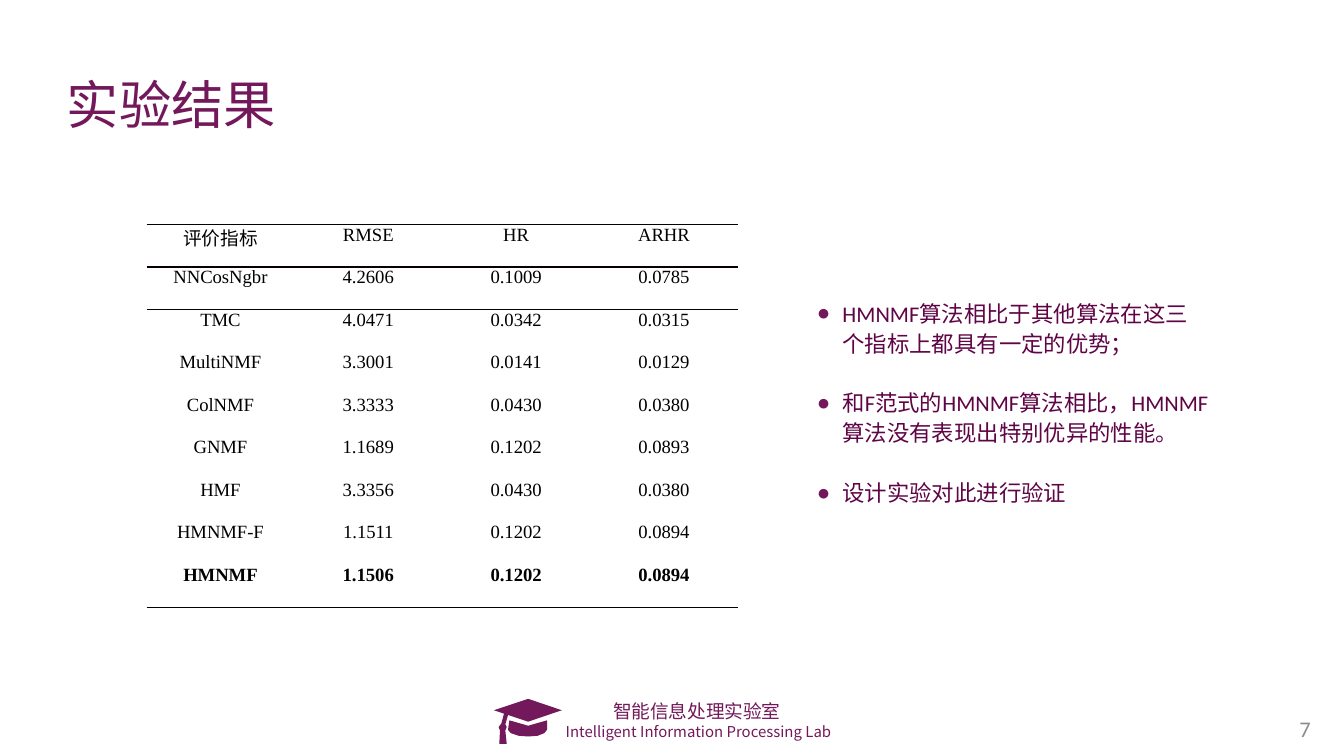
from lxml import etree
from pptx import Presentation
from pptx.dml.color import RGBColor
from pptx.enum.text import MSO_ANCHOR, PP_ALIGN
from pptx.oxml.ns import qn
from pptx.util import Inches, Pt

LEFT, CENTER, RIGHT = PP_ALIGN.LEFT, PP_ALIGN.CENTER, PP_ALIGN.RIGHT
TOP, MIDDLE = MSO_ANCHOR.TOP, MSO_ANCHOR.MIDDLE
PLUM = RGBColor(0x73, 0x18, 0x5A)
DARK_PLUM = RGBColor(0x5F, 0x04, 0x46)
GREY = RGBColor(0x8C, 0x8C, 0x8C)
BLACK = RGBColor(0, 0, 0)
RULE = RGBColor(0x08, 0, 0)
CJK_FONT = "Noto Sans CJK SC"
PLAIN_TABLE_STYLE = "{2D5ABB26-0587-4C30-8999-92F81FD0307C}"

RESULTS = [
    ("评价指标", "RMSE", "HR", "ARHR"),
    ("NNCosNgbr", "4.2606", "0.1009", "0.0785"),
    ("TMC", "4.0471", "0.0342", "0.0315"),
    ("MultiNMF", "3.3001", "0.0141", "0.0129"),
    ("ColNMF", "3.3333", "0.0430", "0.0380"),
    ("GNMF", "1.1689", "0.1202", "0.0893"),
    ("HMF", "3.3356", "0.0430", "0.0380"),
    ("HMNMF-F", "1.1511", "0.1202", "0.0894"),
    ("HMNMF", "1.1506", "0.1202", "0.0894"),
]
FINDINGS = [
    "HMNMF算法相比于其他算法在这三个指标上都具有一定的优势；",
    "和F范式的HMNMF算法相比，HMNMF算法没有表现出特别优异的性能。",
    "设计实验对此进行验证",
]
CAP_BOARD = [
    (418, 528.5), (393, 537), (378, 532), (376, 539), (377, 541),
    (376, 543.5), (377, 553.5), (371.5, 553.5), (372, 543.5),
    (371, 541), (373, 538.5), (375, 531), (367.5, 528.5), (393, 520),
]
CAP_BASE = [
    (407, 543), (405, 545.5), (400, 547.5), (393, 548), (386, 547.5),
    (380, 545.5), (378, 543), (379, 536), (393, 540), (407, 536),
]


def write_text(para, text, size, color, font="Calibri", bold=False, align=LEFT):
    """Fill a paragraph with one formatted run."""
    para.alignment = align
    span = para.add_run()
    span.text = text
    span.font.size = Pt(size)
    span.font.bold = bold
    span.font.name = font
    span.font.color.rgb = color
    east_asian = etree.SubElement(span._r.get_or_add_rPr(), qn("a:ea"))
    east_asian.set("typeface", CJK_FONT)


def add_text_frame(page, left, top, width, height, wrap=True, anchor=TOP):
    """Add a text box and return its frame."""
    box = page.shapes.add_textbox(
        Inches(left), Inches(top), Inches(width), Inches(height))
    box.text_frame.word_wrap = wrap
    box.text_frame.vertical_anchor = anchor
    return box.text_frame


def add_bullet(para):
    """Give a paragraph a hanging round bullet."""
    properties = para._p.get_or_add_pPr()
    properties.set("marL", str(Inches(0.19)))
    properties.set("indent", str(-Inches(0.19)))
    bullet_color = etree.SubElement(properties, qn("a:buClr"))
    etree.SubElement(bullet_color, qn("a:srgbClr"), val=str(PLUM))
    etree.SubElement(properties, qn("a:buFont"), typeface="Arial")
    etree.SubElement(properties, qn("a:buChar"), char="●")


def add_findings(page):
    """Add the bulleted findings beside the table."""
    frame = add_text_frame(page, 5.98, 2.16, 3.12, 1.67)
    for index, finding in enumerate(FINDINGS):
        para = frame.add_paragraph() if index else frame.paragraphs[0]
        para.line_spacing = Pt(16)
        para.space_before = Pt(16 if index else 0)
        add_bullet(para)
        write_text(para, finding, 12, DARK_PLUM)


def add_border(cell, tag):
    """Draw one horizontal rule on a cell edge."""
    properties = cell._tc.get_or_add_tcPr()
    line = etree.Element(qn(tag), w=str(Pt(1)))
    fill = etree.SubElement(line, qn("a:solidFill"))
    etree.SubElement(fill, qn("a:srgbClr"), val=str(RULE))
    properties.insert(0, line)


def add_results(page):
    """Add the three-rule table of results."""
    last = len(RESULTS) - 1
    table = page.shapes.add_table(
        len(RESULTS), len(RESULTS[0]),
        Inches(1.09), Inches(1.67), Inches(4.4), Inches(2.85)).table
    table.first_row = table.horz_banding = False
    table._tbl.tblPr.find(qn("a:tableStyleId")).text = PLAIN_TABLE_STYLE
    for row, values in enumerate(RESULTS):
        for column, value in enumerate(values):
            cell = table.cell(row, column)
            cell.margin_left = cell.margin_right = Inches(0.07)
            cell.margin_top = cell.margin_bottom = 0
            cell.fill.background()
            write_text(cell.text_frame.paragraphs[0], value, 10, BLACK,
                       font="Times New Roman", bold=row == last, align=CENTER)
            if row in (0, last):
                add_border(cell, "a:lnB")
            if row in (0, 1):
                add_border(cell, "a:lnT")


def add_cap(page):
    """Draw the graduation cap in the footer."""
    board, base = ([(x * 10, y * 10) for x, y in points]
                   for points in (CAP_BOARD, CAP_BASE))
    builder = page.shapes.build_freeform(*board[0], scale=Inches(1) / 1000)
    builder.add_line_segments(board[1:])
    builder.move_to(*base[0])
    builder.add_line_segments(base[1:])
    cap = builder.convert_to_shape()
    cap.shadow.inherit = False
    cap.fill.solid()
    cap.fill.fore_color.rgb = PLUM
    cap.line.fill.background()


def add_footer(page):
    """Add the lab name, the cap and the page number."""
    frame = add_text_frame(page, 4.08, 5.16, 2.24, 0.41, wrap=False)
    write_text(frame.paragraphs[0], "智能信息处理实验室 ", 10, PLUM,
               font=CJK_FONT, align=CENTER)
    write_text(frame.add_paragraph(), "Intelligent Information Processing Lab",
               8, PLUM, font=CJK_FONT, align=CENTER)
    add_cap(page)
    number = add_text_frame(page, 9.33, 5.27, 0.52, 0.3, anchor=MIDDLE)
    write_text(number.paragraphs[0], "7", 12, GREY, align=RIGHT)


def main():
    """Build the widescreen slide and save it."""
    deck = Presentation()
    deck.slide_width = Inches(10)
    deck.slide_height = deck.slide_width * 9 // 16
    page = deck.slides.add_slide(deck.slide_layouts[6])
    add_footer(page)
    title = add_text_frame(page, 0.4, 0.49, 1.85, 0.57)
    write_text(title.paragraphs[0], "实验结果", 28, PLUM, font="Roboto Condensed")
    add_findings(page)
    add_results(page)
    deck.save("out.pptx")


if __name__ == "__main__":
    main()
